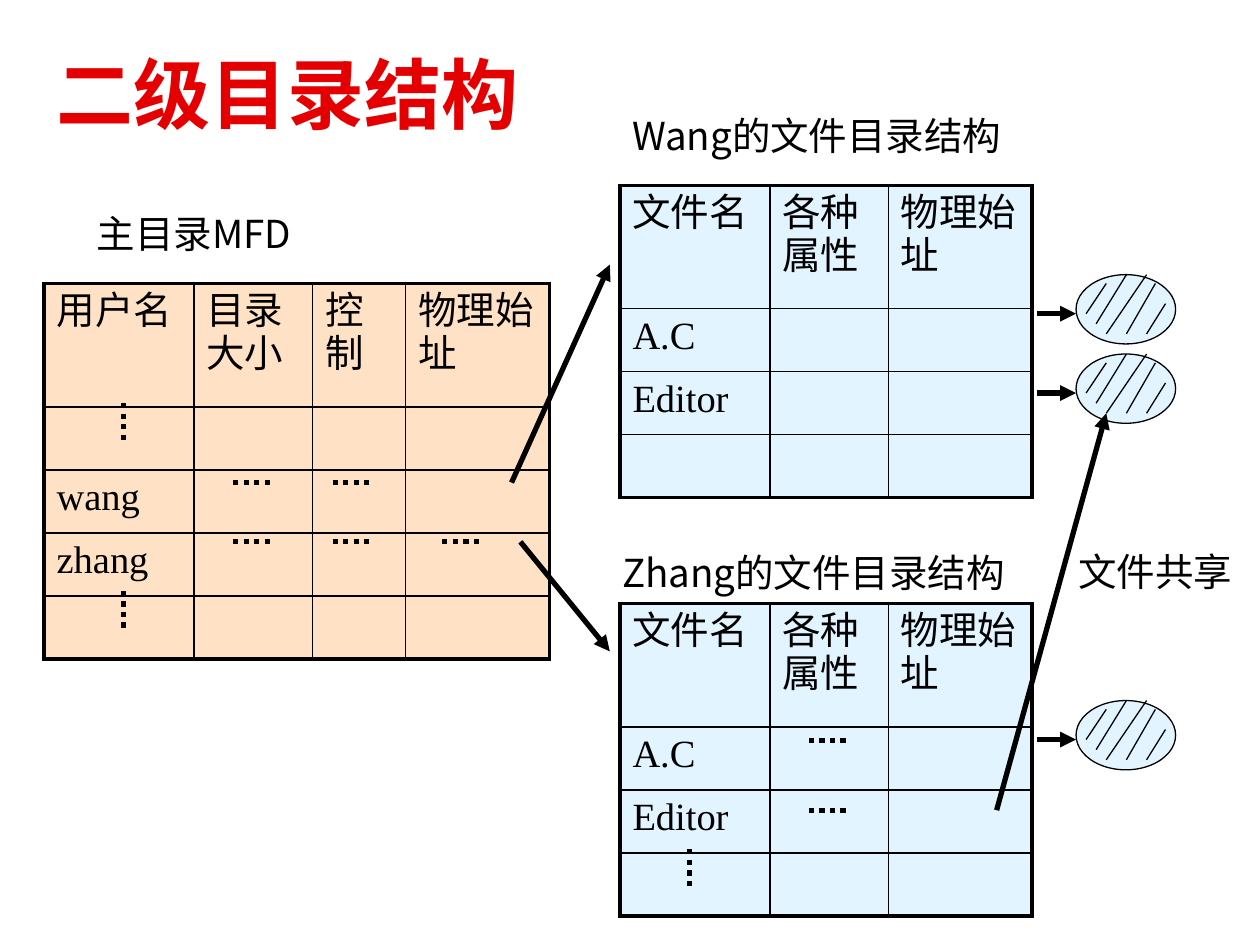
from dataclasses import dataclass

import pptx
import pptx.dml.color
import pptx.enum.dml
import pptx.enum.shapes
import pptx.enum.text
import pptx.oxml
import pptx.oxml.ns
import pptx.util
from pptx.util import Inches


@dataclass(frozen=True)
class Theme:
    ink: str = "000000"
    paper: str = "FFFFFF"
    title: str = "E40000"
    master: str = "FFE2C5"
    user: str = "E1F4FF"
    sans: str = "Arial"
    serif: str = "Times New Roman"
    cjk: str = "Noto Sans CJK SC"
    title_size: float = 44
    body_size: float = 22
    heavy: float = 3
    frame: float = 2.25
    grid: float = 1
    thin: float = 0.75


T = Theme()


def rgb(value):
    return pptx.dml.color.RGBColor.from_string(value)


def sub(parent, tag, **attrs):
    el = pptx.oxml.parse_xml(f"<a:{tag} {pptx.oxml.ns.nsdecls('a')}/>")
    for name, value in attrs.items():
        el.set(name, str(value))
    parent.append(el)
    return el


def write(tf, text, size=T.body_size, font=T.sans, color=T.ink, bold=False):
    p = tf.paragraphs[0]
    p.alignment = pptx.enum.text.PP_ALIGN.LEFT
    r = p.add_run()
    r.text = text
    r.font.size = pptx.util.Pt(size)
    r.font.name = font
    r.font.bold = bold
    r.font.color.rgb = rgb(color)
    sub(r.font._element, "ea", typeface=font)


def add_line(s, x1, y1, x2, y2, width=T.heavy, dotted=False, arrow=False):
    c = s.shapes.add_connector(
        pptx.enum.shapes.MSO_CONNECTOR.STRAIGHT,
        Inches(x1), Inches(y1), Inches(x2), Inches(y2))
    c.line.width = pptx.util.Pt(width)
    c.line.color.rgb = rgb(T.ink)
    if dotted:
        c.line.dash_style = pptx.enum.dml.MSO_LINE.ROUND_DOT
        c.line._ln.find(pptx.oxml.ns.qn("a:prstDash")).set("val", "sysDot")
    if arrow:
        sub(c.line._ln, "tailEnd", type="triangle")
    sub(c._element.spPr, "effectLst")


def add_dots(s, x, y, vertical=False):
    length = 0.31
    add_line(s, x, y, x + (0 if vertical else length),
             y + (length if vertical else 0), dotted=True)


def add_title(s, x, y, w, h, text):
    sp = s.shapes.title
    sp.left, sp.top, sp.width, sp.height = map(Inches, (x, y, w, h))
    sp.fill.solid()
    sp.fill.fore_color.rgb = rgb(T.paper)
    tf = sp.text_frame
    tf.vertical_anchor = pptx.enum.text.MSO_ANCHOR.MIDDLE
    tf.auto_size = pptx.enum.text.MSO_AUTO_SIZE.NONE
    write(tf, text, size=T.title_size, color=T.title, bold=True)


def add_caption(s, x, y, w, text):
    tf = s.shapes.add_textbox(*map(Inches, (x, y, w, 0.47))).text_frame
    tf.word_wrap = True
    tf.auto_size = pptx.enum.text.MSO_AUTO_SIZE.SHAPE_TO_FIT_TEXT
    write(tf, text, font=T.cjk)


def add_border(cell, side, width):
    ln = sub(cell._tc.get_or_add_tcPr(), f"ln{side}", w=pptx.util.Pt(width))
    sub(sub(ln, "solidFill"), "srgbClr", val=T.ink)


def add_directory(s, x, y, cols, headers, names, fill):
    header_h, row_h = 0.98, 0.5
    n_rows, n_cols = len(names) + 1, len(cols)
    frame = s.shapes.add_table(
        n_rows, n_cols, Inches(x), Inches(y), Inches(sum(cols)),
        Inches(header_h + row_h * len(names)))
    table = frame.table
    table.first_row = table.horz_banding = False
    for col, width in zip(table.columns, cols):
        col.width = Inches(width)
    for i, row in enumerate(table.rows):
        row.height = Inches(row_h if i else header_h)
        for j, cell in enumerate(row.cells):
            outer = {"L": j == 0, "R": j == n_cols - 1,
                     "T": i == 0, "B": i == n_rows - 1}
            for side, on_frame in outer.items():
                add_border(cell, side, T.frame if on_frame else T.grid)
            cell.fill.solid()
            cell.fill.fore_color.rgb = rgb(fill)
            if i == 0:
                write(cell.text_frame, headers[j])
            elif j == 0 and names[i - 1]:
                write(cell.text_frame, names[i - 1], font=T.serif)


def add_master_directory(s, x, y):
    add_directory(s, x, y, (1.19, 0.94, 0.74, 1.14),
                  ("用户名", "目录大小", "控制", "物理始址"),
                  ("", "wang", "zhang", ""), T.master)
    for dy in (0.95, 2.44):
        add_dots(s, x + 0.63, y + dy, vertical=True)
    for dx, dy in ((1.5, 1.58), (1.5, 2.05), (2.29, 1.58), (2.29, 2.05), (3.16, 2.05)):
        add_dots(s, x + dx, y + dy)
    add_caption(s, x + 0.32, y - 0.63, 2.68, "主目录MFD")


def add_user_directory(s, x, y):
    add_directory(s, x, y, (1.19, 0.94, 1.14),
                  ("文件名", "各种属性", "物理始址"),
                  ("A.C", "Editor", ""), T.user)


def add_file(s, x, y):
    w, h, arrow = 0.79, 0.55, 0.31
    add_line(s, x - arrow, y + 0.31, x, y + 0.31, arrow=True)
    sp = s.shapes.add_shape(pptx.enum.shapes.MSO_SHAPE.OVAL,
                            *map(Inches, (x, y, w, h)))
    sp.shadow.inherit = False
    sp.fill.solid()
    sp.fill.fore_color.rgb = rgb(T.user)
    sp.line.color.rgb = rgb(T.ink)
    sp.line.width = pptx.util.Pt(T.thin)
    hatch = ((0.24, 0.07, 0.08, 0.31), (0.4, 0, 0.16, 0.39),
             (0.56, 0, 0.24, 0.47), (0.63, 0.07, 0.4, 0.47),
             (0.71, 0.23, 0.56, 0.47))
    for x1, y1, x2, y2 in hatch:
        add_line(s, x + x1, y + y1, x + x2, y + y2, width=T.thin)


def main():
    prs = pptx.Presentation()
    prs.slide_width, prs.slide_height = Inches(10), Inches(7.5)
    s = prs.slides.add_slide(prs.slide_layouts[5])

    add_title(s, 0.35, 0.28, 3.94, 0.91, "二级目录结构")
    add_master_directory(s, 0.35, 2.25)
    for y in (1.47, 4.79):
        add_user_directory(s, 4.92, y)
    add_caption(s, 4.92, 0.84, 3.31, "Wang的文件目录结构")
    add_caption(s, 4.84, 4.31, 3.31, "Zhang的文件目录结构")
    add_dots(s, 5.47, 6.74, vertical=True)
    for y in (5.88, 6.43):
        add_dots(s, 6.42, y)

    add_line(s, 4.06, 3.83, 4.84, 2.1, arrow=True)
    add_line(s, 4.13, 4.3, 4.84, 5.17, arrow=True)
    for y in (2.18, 2.81, 5.56):
        add_file(s, 8.54, y)
    add_line(s, 7.91, 6.43, 8.78, 3.28, arrow=True)
    add_caption(s, 8.46, 4.3, 1.54, "文件共享")

    prs.save("out.pptx")


if __name__ == "__main__":
    main()
